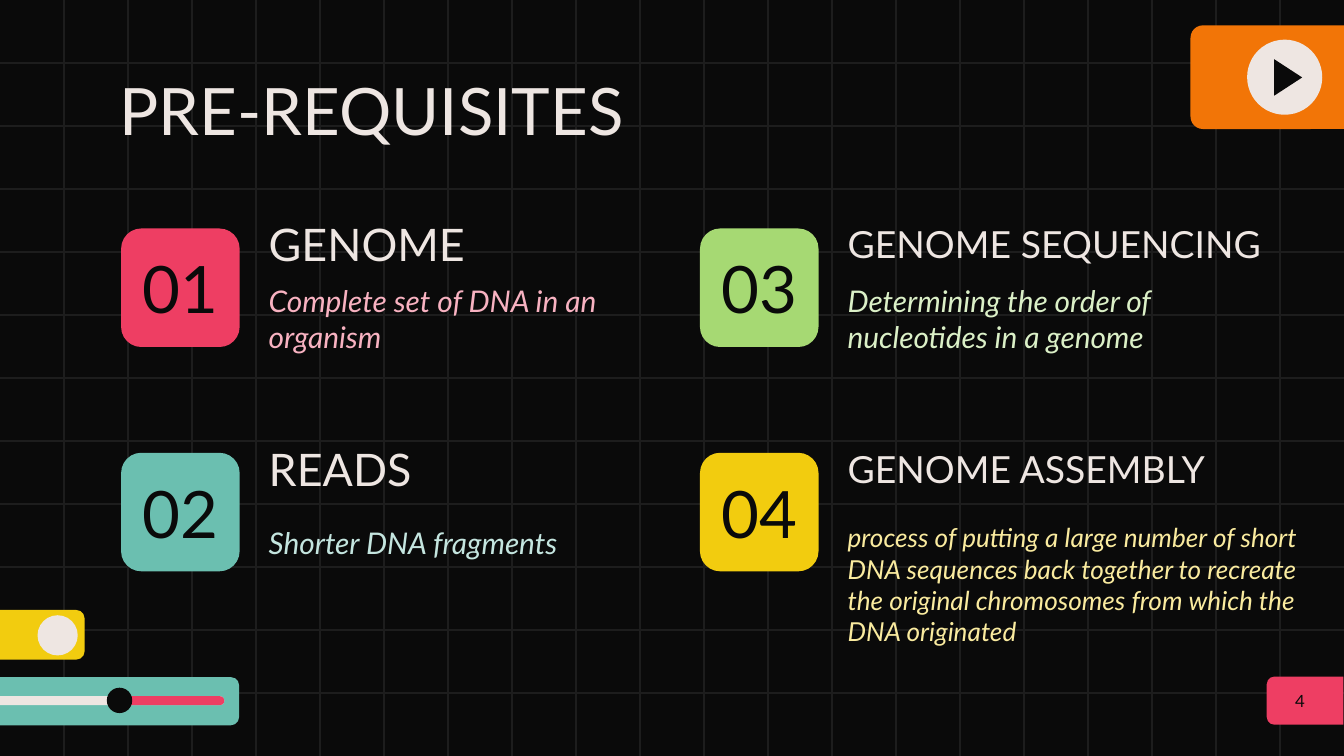
from lxml.etree import SubElement
from pptx import Presentation
from pptx.dml.color import RGBColor
from pptx.enum.shapes import MSO_CONNECTOR as Line, MSO_SHAPE as Kind
from pptx.enum.text import MSO_ANCHOR as Anchor, MSO_AUTO_SIZE as Fit, PP_ALIGN as Align
from pptx.oxml.ns import qn
from pptx.util import Cm, Pt

INK = RGBColor(0x0A, 0x0A, 0x0A)
GRID = RGBColor(0x1D, 0x1D, 0x1D)
CREAM = RGBColor(0xEE, 0xE6, 0xE2)
RED = RGBColor(0xEE, 0x3E, 0x63)
TEAL = RGBColor(0x6B, 0xBF, 0xB0)
GREEN = RGBColor(0xA6, 0xD9, 0x73)
GOLD = RGBColor(0xF2, 0xCC, 0x0F)
ORANGE = RGBColor(0xF2, 0x75, 0x07)
PINK = RGBColor(0xF8, 0xB2, 0xC1)
MINT = RGBColor(0xC4, 0xE5, 0xDF)
LIME = RGBColor(0xDB, 0xF0, 0xC7)
LEMON = RGBColor(0xFA, 0xEB, 0x9F)

TITLE = "PRE-REQUISITES"
PAGE = "4"
TERMS = [
    dict(num="01", fill=RED, head="GENOME", size=24, wide=7.62,
         body="Complete set of DNA in an organism", tint=PINK, small=16, span=7.62, drop=0.74),
    dict(num="02", fill=TEAL, head="READS", size=24, wide=7.62,
         body="Shorter DNA fragments", tint=MINT, small=16, span=7.62, drop=0.74),
    dict(num="03", fill=GREEN, head="GENOME SEQUENCING", size=20, wide=9.63,
         body="Determining the order of nucleotides in a genome",
         tint=LIME, small=16, span=7.62, drop=0.74),
    dict(num="04", fill=GOLD, head="GENOME ASSEMBLY", size=20, wide=7.62,
         body="process of putting a large number of short DNA sequences back together "
              "to recreate the original chromosomes from which the DNA originated",
         tint=LEMON, small=14, span=9.63, drop=1.52),
]

ROUND, DISC = Kind.ROUNDED_RECTANGLE, Kind.OVAL
DECOR = [
    (Kind.ROUND_2_SAME_RECTANGLE, (24.21, 12.52, 0.91, 1.45), RED, (0, 0.16), 90),
    (ROUND, (-1.7, 12.8, 6.22, 0.91), TEAL, (0.17,), 0),
    (ROUND, (-1.42, 13.16, 5.66, 0.17), CREAM, (0.5,), 0),
    (ROUND, (2.18, 13.16, 2.06, 0.17), RED, (0.5,), 0),
    (DISC, (2.02, 13, 0.48, 0.48), INK, (), 0),
    (ROUND, (-0.64, 11.53, 2.24, 0.94), GOLD, (0.17,), 0),
    (DISC, (0.71, 11.63, 0.76, 0.76), CREAM, (), 0),
    (ROUND, (22.5, 0.48, 3.53, 1.96), ORANGE, (0.12,), 0),
    (DISC, (23.57, 0.75, 1.42, 1.42), CREAM, (), 0),
    (Kind.ISOSCELES_TRIANGLE, (24, 1.2, 0.69, 0.53), INK, (), 90),
]

WIDE, HIGH = 25.4, 14.29
COLS, ROWS = 21, 12
LEFT, TOP, TILE = 2.29, 4.32, 2.24
STEP_X, STEP_Y, INDENT = 10.94, 4.24, 2.54

deck = Presentation()
deck.slide_width, deck.slide_height = Cm(WIDE), Cm(HIGH)
slide = deck.slides.add_slide(deck.slide_layouts[5])
slide.background.fill.solid()
slide.background.fill.fore_color.rgb = INK
shapes = slide.shapes


def rule(x1, y1, x2, y2):
    line = shapes.add_connector(Line.STRAIGHT, Cm(x1), Cm(y1), Cm(x2), Cm(y2))
    line.line.color.rgb = GRID
    line.line.width = Pt(0.75)
    SubElement(line._element.spPr, qn("a:effectLst"))


def block(kind, box, fill, bends=(), turn=0):
    shape = shapes.add_shape(kind, *map(Cm, box))
    shape.shadow.inherit = False
    shape.fill.solid()
    shape.fill.fore_color.rgb = fill
    shape.line.fill.background()
    shape.rotation = turn
    for i, bend in enumerate(bends):
        shape.adjustments[i] = bend
    return shape


def write(shape, text, size, color, align=Align.LEFT, anchor=Anchor.MIDDLE, italic=False):
    frame = shape.text_frame
    frame.text = text
    pad = Cm(0.25)
    look = dict(word_wrap=True, auto_size=Fit.NONE, vertical_anchor=anchor,
                margin_left=pad, margin_right=pad, margin_top=pad, margin_bottom=pad)
    for key, val in look.items():
        setattr(frame, key, val)
    para = frame.paragraphs[0]
    para.alignment = align
    font = para.runs[0].font
    for key, val in dict(name="Lato", size=Pt(size), italic=italic, bold=False).items():
        setattr(font, key, val)
    font.color.rgb = color


def label(box, *args, **more):
    write(shapes.add_textbox(*map(Cm, box)), *args, **more)


for i in range(1, ROWS):
    rule(0, HIGH * i / ROWS, WIDE, HIGH * i / ROWS)
for i in range(1, COLS):
    rule(WIDE * i / COLS, 0, WIDE * i / COLS, HIGH)

for part in DECOR:
    block(*part)

title = shapes.title
spot = dict(left=2.01, top=1.07, width=21.41, height=1.65)
for key, val in spot.items():
    setattr(title, key, Cm(val))
write(title, TITLE, 35, CREAM, anchor=Anchor.TOP)
shapes._spTree.append(title._element)

for i, term in enumerate(TERMS):
    col, row = divmod(i, 2)
    x, y = LEFT + col * STEP_X, TOP + row * STEP_Y
    tile = block(ROUND, (x, y, TILE, TILE), term["fill"], (0.17,))
    write(tile, term["num"], 35, INK, Align.CENTER)
    label((x + INDENT, y - 0.23, term["wide"], 1.04), term["head"], term["size"], CREAM)
    label((x + INDENT, y + term["drop"], term["span"], 1.93),
          term["body"], term["small"], term["tint"], italic=True)

label((23.95, 12.8, 1.24, 0.91), PAGE, 9, INK, Align.CENTER)

deck.save("out.pptx")
